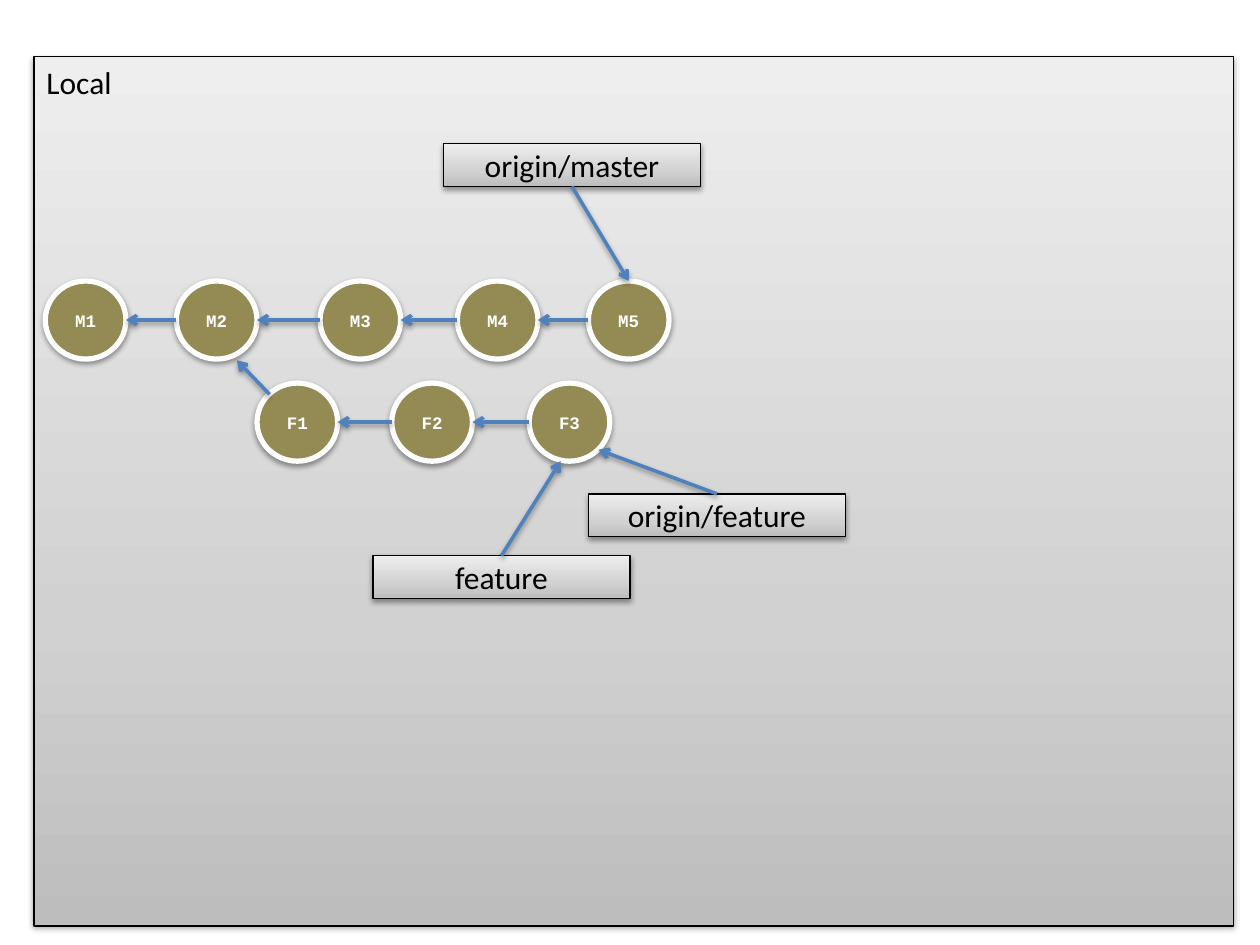
from dataclasses import dataclass
from itertools import pairwise

from lxml import etree
from pptx import Presentation
from pptx.dml.color import RGBColor
from pptx.enum import shapes, text
from pptx.oxml import parse_xml
from pptx.oxml.ns import nsdecls, qn
from pptx.util import Inches, Pt

COLORS = {
    "ink": "000000",
    "commit": "948A54",
    "commit_text": "FFFFFF",
    "arrow": "4F81BD",
}
PANEL_STOPS = [(0, "BDBDBD"), (35, "D1D1D1"), (100, "EEEEEE")]
COMMIT_W, COMMIT_H = 0.64, 0.62
LABEL_W, LABEL_H = 2.04, 0.34


@dataclass
class Commit:
    name: str
    left: float
    top: float

    @property
    def middle(self) -> float:
        return self.top + COMMIT_H / 2

    @property
    def right(self) -> float:
        return self.left + COMMIT_W


@dataclass
class Branch:
    name: str
    left: float
    top: float
    start_side: str
    target: tuple[float, float]

    @property
    def start(self) -> tuple[float, float]:
        drop = LABEL_H if self.start_side == "bottom" else 0
        return self.left + LABEL_W / 2, self.top + drop


def rgb(key: str) -> RGBColor:
    return RGBColor.from_string(COLORS[key])


def add_shadow(item) -> None:
    item._element.spPr.append(parse_xml(
        f'<a:effectLst {nsdecls("a")}>'
        '<a:outerShdw blurRad="40000" dist="20000" dir="5400000" rotWithShape="0">'
        f'<a:srgbClr val="{COLORS["ink"]}"><a:alpha val="38000"/></a:srgbClr>'
        '</a:outerShdw></a:effectLst>'))


def fill_gradient(shape) -> None:
    shape.fill.gradient()
    shape.fill.gradient_angle = 90
    stops = shape._element.spPr.find(qn("a:gradFill")).find(qn("a:gsLst"))
    for old_stop in list(stops):
        stops.remove(old_stop)
    for position, color in PANEL_STOPS:
        stop = etree.SubElement(stops, qn("a:gs"), pos=str(position * 1000))
        etree.SubElement(stop, qn("a:srgbClr"), val=color)


def write(shape, words: str, font_name: str, size: float, color: str,
          align=text.PP_ALIGN.CENTER, anchor=text.MSO_ANCHOR.MIDDLE,
          bold: bool = False) -> None:
    frame = shape.text_frame
    frame.vertical_anchor = anchor
    paragraph = frame.paragraphs[0]
    paragraph.text = words
    paragraph.alignment = align
    paragraph.font.name = font_name
    paragraph.font.size = Pt(size)
    paragraph.font.bold = bold
    paragraph.font.color.rgb = rgb(color)


def draw_panel(slide, left: float, top: float, width: float, height: float,
               words: str, **placement) -> None:
    panel = slide.shapes.add_shape(
        shapes.MSO_SHAPE.RECTANGLE,
        Inches(left), Inches(top), Inches(width), Inches(height))
    fill_gradient(panel)
    panel.line.color.rgb = rgb("ink")
    panel.line.width = Pt(0.75)
    add_shadow(panel)
    write(panel, words, "Calibri", 18, "ink", **placement)


def draw_commit(slide, commit: Commit) -> None:
    circle = slide.shapes.add_shape(
        shapes.MSO_SHAPE.OVAL, Inches(commit.left), Inches(commit.top),
        Inches(COMMIT_W), Inches(COMMIT_H))
    circle.fill.solid()
    circle.fill.fore_color.rgb = rgb("commit")
    circle.line.color.rgb = rgb("commit_text")
    circle.line.width = Pt(3)
    add_shadow(circle)
    write(circle, commit.name, "Courier New", 10, "commit_text", bold=True)


def draw_arrow(slide, start: tuple[float, float], end: tuple[float, float]) -> None:
    arrow = slide.shapes.add_connector(
        shapes.MSO_CONNECTOR.STRAIGHT, *map(Inches, start + end))
    arrow.line.color.rgb = rgb("arrow")
    arrow.line.width = Pt(2)
    etree.SubElement(arrow.line._get_or_add_ln(), qn("a:tailEnd"), type="arrow")
    add_shadow(arrow)


def draw_history(slide, prefix: str, top: float, lefts: list[float]) -> None:
    commits = [Commit(f"{prefix}{number}", left, top)
               for number, left in enumerate(lefts, 1)]
    for commit in commits:
        draw_commit(slide, commit)
    for parent, child in pairwise(commits):
        draw_arrow(slide, (child.left, child.middle), (parent.right, parent.middle))


def main() -> None:
    deck = Presentation()
    deck.slide_width, deck.slide_height = Inches(10), Inches(7.5)
    slide = deck.slides.add_slide(deck.slide_layouts[6])

    draw_panel(slide, 0.27, 0.45, 9.52, 6.9, "Local",
               align=text.PP_ALIGN.LEFT, anchor=text.MSO_ANCHOR.TOP)
    draw_history(slide, "M", 2.23, [0.36, 1.4, 2.54, 3.63, 4.67])
    draw_history(slide, "F", 3.04, [2.04, 3.11, 4.2])
    draw_arrow(slide, (2.14, 3.13), (1.88, 2.86))

    branches = [
        Branch("origin/master", 3.52, 1.14, "bottom", (4.99, 2.23)),
        Branch("feature", 2.96, 4.41, "top", (4.45, 3.66)),
        Branch("origin/feature", 4.67, 3.92, "top", (4.75, 3.57)),
    ]
    for branch in branches:
        draw_panel(slide, branch.left, branch.top, LABEL_W, LABEL_H, branch.name)
        draw_arrow(slide, branch.start, branch.target)

    deck.save("out.pptx")


if __name__ == "__main__":
    main()
